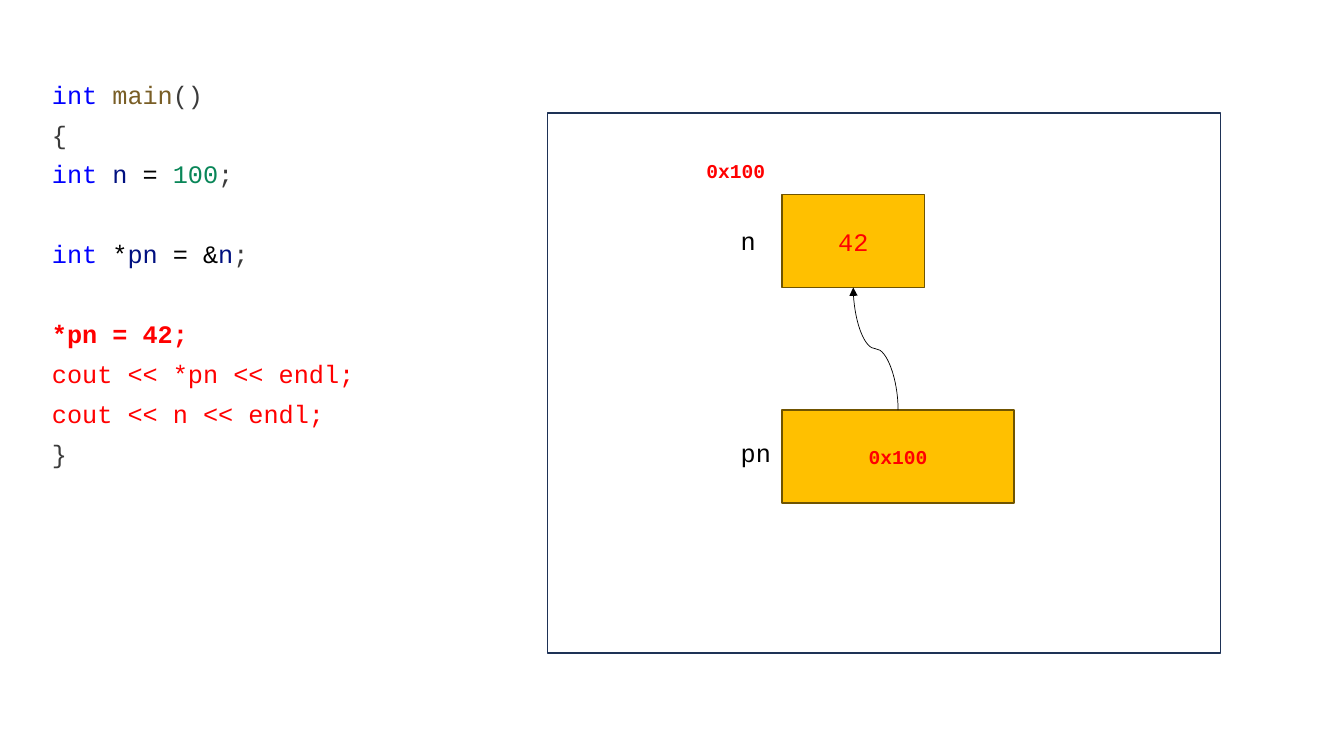
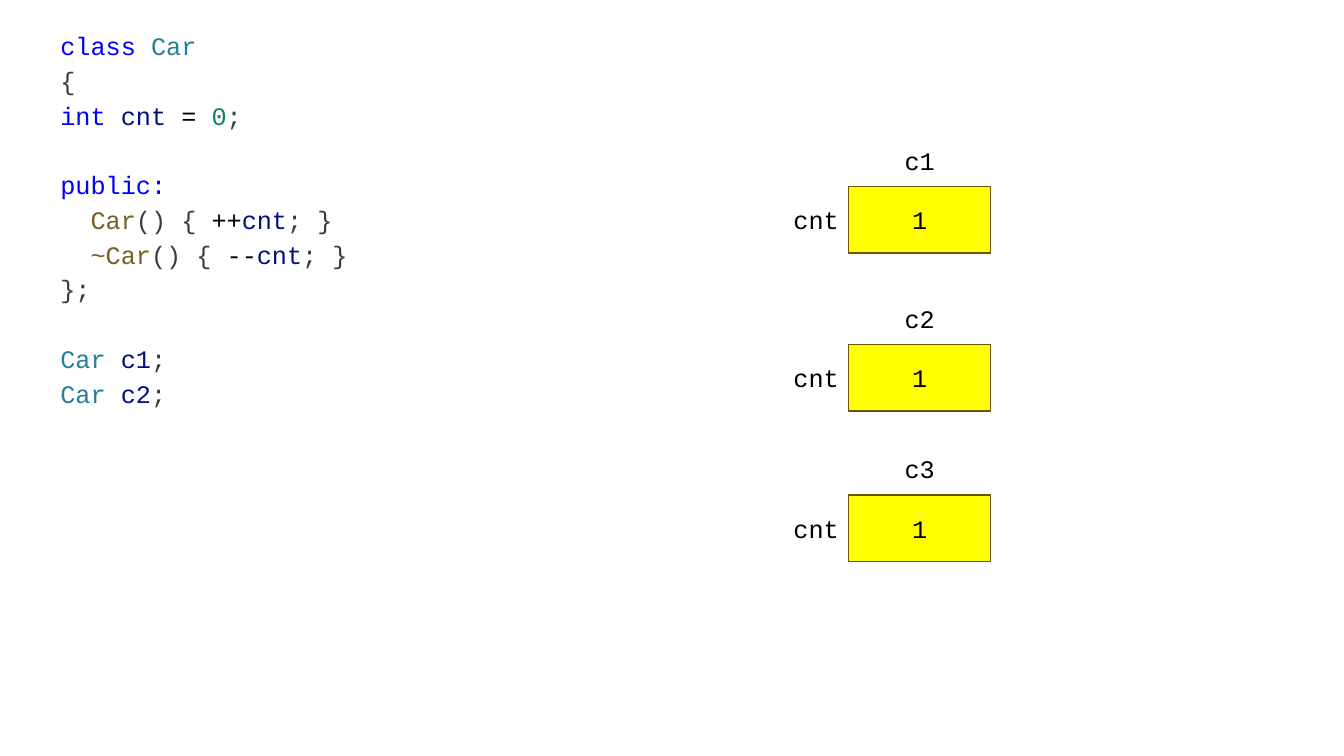
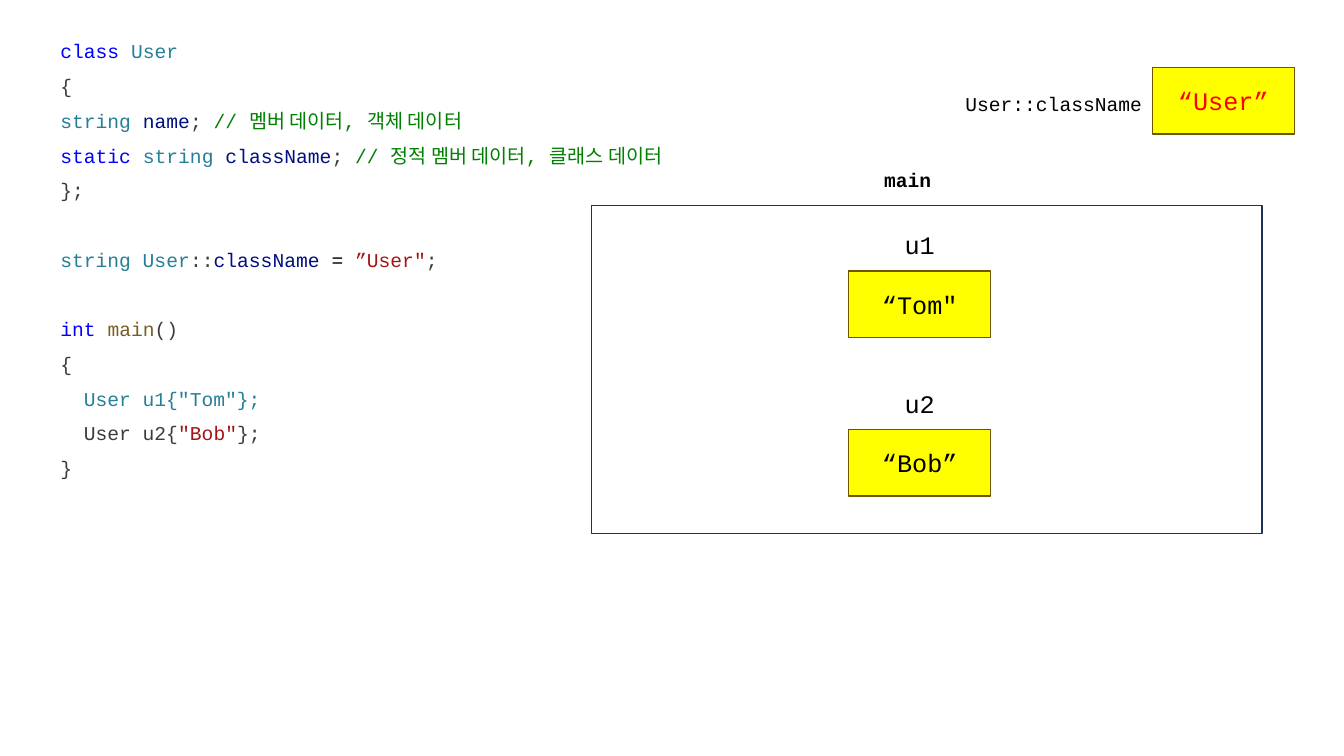
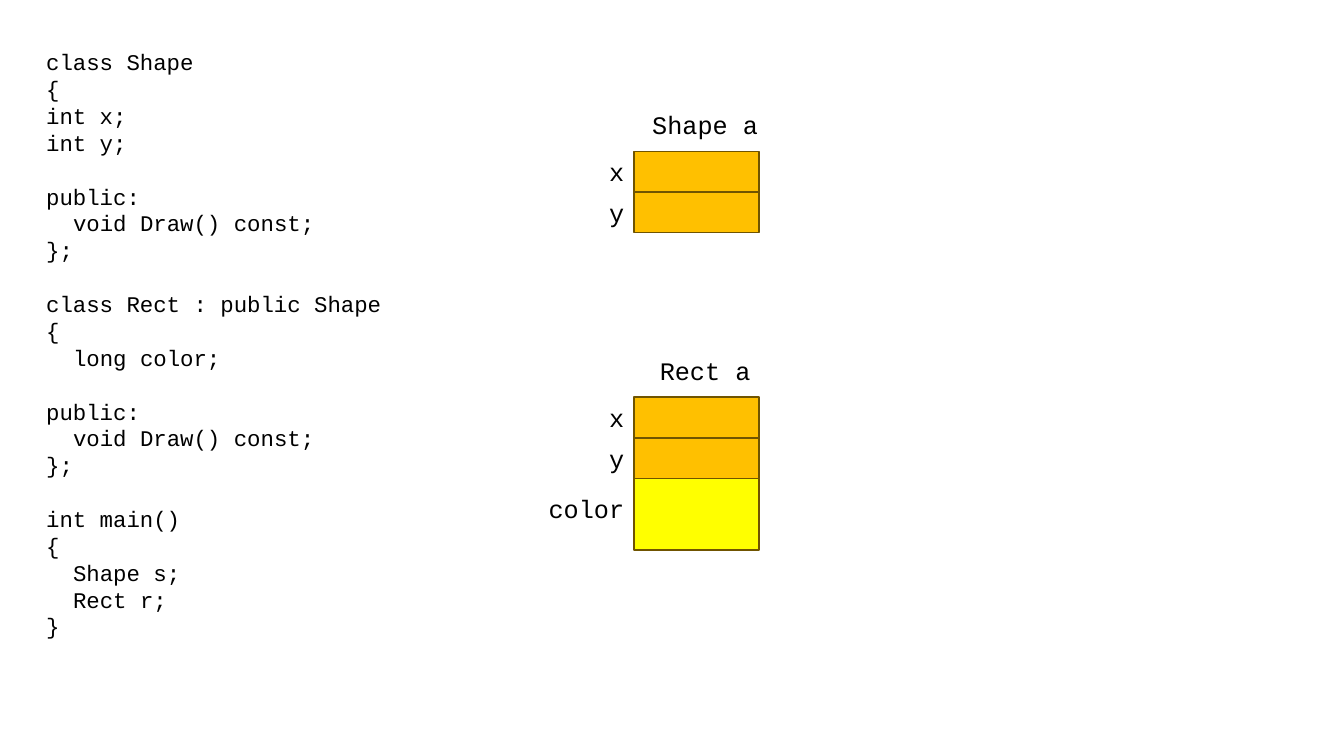
from lxml import etree
from pptx import Presentation
from pptx.dml.color import RGBColor
from pptx.enum.shapes import MSO_CONNECTOR, MSO_SHAPE
from pptx.enum.text import MSO_ANCHOR, PP_ALIGN
from pptx.oxml.ns import qn
from pptx.util import Pt

LEFT, MID, RIGHT = PP_ALIGN.LEFT, PP_ALIGN.CENTER, PP_ALIGN.RIGHT
MIDDLE = MSO_ANCHOR.MIDDLE
RECT, CURVE = MSO_SHAPE.RECTANGLE, MSO_CONNECTOR.CURVE
FONT, KOREAN = "Courier New", "Noto Sans CJK KR"
BLACK, WHITE, RED = "000000", "FFFFFF", "FF0000"
GOLD, YELLOW, EDGE, NAVY = "FFC000", "FFFF00", "705400", "1E3256"
KEY, FUNC, MARK, VAR = "0000FF", "795E26", "3B3B3B", "001080"
NUM, TYPE, NOTE, QUOTE = "098658", "267F99", "008000", "A31515"

# Each code line is a list of (text, colour); an empty list is a gap.
POINTER = [
    [("int ", KEY), ("main", FUNC), ("()", MARK)],
    [("{", MARK)],
    [("int ", KEY), ("n ", VAR), ("= ", BLACK), ("100", NUM), (";", MARK)],
    [],
    [("int ", KEY), ("*", BLACK), ("pn ", VAR), ("= &", BLACK), ("n", VAR),
     (";", MARK)],
    [],
    [("*pn = 42;", RED)],
    [("cout << *pn << endl;", RED)],
    [("cout << n << endl;", RED)],
    [("}", MARK)],
]
CAR = [
    [("class ", KEY), ("Car", TYPE)],
    [("{", MARK)],
    [("int ", KEY), ("cnt ", VAR), ("= ", BLACK), ("0", NUM), (";", MARK)],
    [],
    [("public:", KEY)],
    [("  Car", FUNC), ("() { ", MARK), ("++", BLACK), ("cnt", VAR),
     ("; }", MARK)],
    [("  ~Car", FUNC), ("() { ", MARK), ("--", BLACK), ("cnt", VAR),
     ("; }", MARK)],
    [("};", MARK)],
    [],
    [("Car ", TYPE), ("c1", VAR), (";", MARK)],
    [("Car ", TYPE), ("c2", VAR), (";", MARK)],
]
USER = [
    [("class ", KEY), ("User", TYPE)],
    [("{", MARK)],
    [("string ", TYPE), ("name", VAR), (";", MARK),
     (" // 멤버 데이터, 객체 데이터", NOTE)],
    [("static ", KEY), ("string ", TYPE), ("className", VAR), (";", MARK),
     (" // 정적 멤버 데이터, 클래스 데이터", NOTE)],
    [("};", MARK)],
    [],
    [("string User", TYPE), ("::", MARK), ("className ", VAR), ("= ", BLACK),
     ("”User\"", QUOTE), (";", MARK)],
    [],
    [("int ", KEY), ("main", FUNC), ("()", MARK)],
    [("{", MARK)],
    [("  User u1{\"Tom\"};", TYPE)],
    [("  User u2{", MARK), ("\"Bob\"", QUOTE), ("};", MARK)],
    [("}", MARK)],
]
SHAPE = """class Shape
{
int x;
int y;

public:
  void Draw() const;
};

class Rect : public Shape
{
  long color;

public:
  void Draw() const;
};

int main()
{
  Shape s;
  Rect r;
}"""
CARS = [("c1", 133.2), ("c2", 246.2), ("c3", 353.5)]
USERS = [("u1", "“Tom\"", 193.7), ("u2", "“Bob”", 306.7)]
# name, top, fields as (label, height, fill, label offset)
BASE = [("x", 29.1, GOLD, 0), ("y", 29.1, GOLD, 0)]
OBJECTS = [
    ("Shape a", 108, BASE),
    ("Rect a", 283.7, BASE + [("color", 51.1, YELLOW, 7.2)]),
]
CELL_X, CELL_W, CELL_H = 606.2, 101.5, 47.5
SIDE_W, NAME_UP = 82.8, 33.1


def rgb(code):
    return RGBColor.from_string(code)


def style(run, size, color, bold=False):
    font = run.font
    font.name, font.size, font.bold = FONT, Pt(size), bold
    font.color.rgb = rgb(color)
    latin = run._r.rPr.find(qn("a:latin"))
    east = etree.Element(qn("a:ea"), typeface=KOREAN)
    latin.addnext(east)


def write(frame, text, size, color, bold, align):
    frame.text = text
    para = frame.paragraphs[0]
    para.alignment = align
    style(para.runs[0], size, color, bold)


def label(slide, text, x, y, w, size=18, color=BLACK, bold=False, align=LEFT):
    box = slide.shapes.add_textbox(Pt(x), Pt(y), Pt(w), Pt(size * 1.2 + 7.2))
    box.text_frame.word_wrap = True
    write(box.text_frame, text, size, color, bold, align)


def rect(slide, x, y, w, h, fill, edge=EDGE, text="", size=18, color=BLACK,
         bold=False):
    box = slide.shapes.add_shape(RECT, Pt(x), Pt(y), Pt(w), Pt(h))
    box.shadow.inherit = False
    box.fill.solid()
    box.fill.fore_color.rgb = rgb(fill)
    box.line.color.rgb = rgb(edge)
    box.line.width = Pt(1)
    box.text_frame.vertical_anchor = MIDDLE
    if text:
        write(box.text_frame, text, size, color, bold, MID)
    return box


def listing(slide, lines, x, y, w, size, pitch, strong=""):
    """Set code lines; leading blanks become indents, empty lines gaps."""
    box = slide.shapes.add_textbox(Pt(x), Pt(y), Pt(w),
                                   Pt(len(lines) * pitch + 7.2))
    frame = box.text_frame
    frame.word_wrap = True
    para, gap = frame.paragraphs[0], 0
    for row, line in enumerate(lines):
        if not line:
            gap = pitch
            continue
        if row:
            para = frame.add_paragraph()
        para.line_spacing, para.space_before = Pt(pitch), Pt(gap)
        gap = 0
        for col, (text, color) in enumerate(line):
            run = para.add_run()
            run.text = text if col else text.lstrip()
            style(run, size, color, text == strong)
        first = line[0][0]
        blanks = len(first) - len(first.lstrip())
        if blanks:
            para._p.get_or_add_pPr().set("marL", str(Pt(blanks * size * 0.6)))


def arrow(slide, start, end):
    """Curve from the top of start to the bottom of end."""
    line = slide.shapes.add_connector(CURVE, 0, 0, 0, 0)
    line.begin_connect(start, 0)
    line.end_connect(end, 2)
    x, y, w, h = line.left, line.top, line.width, line.height
    line.left, line.top = x + (w - h) // 2, y + (h - w) // 2
    line.width, line.height = h, w
    props = line._element.spPr
    for key, value in (("rot", "16200000"), ("flipH", "0"), ("flipV", "1")):
        props.xfrm.set(key, value)
    line.line.color.rgb = rgb(BLACK)
    line.line.width = Pt(0.5)
    etree.SubElement(props.ln, qn("a:tailEnd"), type="triangle")
    etree.SubElement(props, qn("a:effectLst"))


def pointer(slide):
    listing(slide, POINTER, 30, 46, 480, 18, 28.5, "*pn = 42;")
    rect(slide, 391, 80.6, 481, 386, WHITE, NAVY)
    value = rect(slide, 558.7, 139, CELL_W, 66.4, GOLD, text="42", color=RED)
    label(slide, "n", 522, 157.7, 36)
    label(slide, "0x100", 497.5, 110, 129, 14, RED, True)
    holder = rect(slide, 558.7, 293, 165.6, 66.4, GOLD, text="0x100",
                  size=14, color=RED, bold=True)
    label(slide, "pn", 522, 309, 36.7)
    arrow(slide, holder, value)


def cell(slide, name, text, y):
    rect(slide, CELL_X, y, CELL_W, CELL_H, YELLOW, text=text)
    label(slide, name, CELL_X, y - NAME_UP, CELL_W, align=MID)


def cars(slide):
    listing(slide, CAR, 36, 15.1, 480, 18, 24.8)
    for name, y in CARS:
        cell(slide, name, "1", y)
        label(slide, "cnt", CELL_X - SIDE_W, y + 9.4, SIDE_W, align=RIGHT)


def users(slide):
    rect(slide, 422.6, 146.9, 478.8, 234, WHITE, NAVY)
    for name, text, y in USERS:
        cell(slide, name, text, y)
    rect(slide, 823, 48.2, CELL_W, CELL_H, YELLOW, text="“User”", color=RED)
    label(slide, "User::className", 640.8, 61.9, 182.2, 14, align=RIGHT)
    listing(slide, USER, 36, 16.6, 480, 14, 24.8)
    label(slide, "main", 499, 116.6, 298.8, 14, bold=True, align=MID)


def objects(slide):
    lines = [[(row, BLACK)] if row else [] for row in SHAPE.split("\n")]
    listing(slide, lines, 25.9, 31, 338, 16, 19.2)
    x = 452.9
    for name, y, fields in OBJECTS:
        label(slide, name, x, y - NAME_UP, CELL_W, align=MID)
        for field, h, fill, drop in fields:
            rect(slide, x, y, 89.3, h, fill)
            label(slide, field, x - SIDE_W, y + drop, SIDE_W, align=RIGHT)
            y += h


def main():
    deck = Presentation()
    deck.slide_width, deck.slide_height = Pt(960), Pt(540)
    for draw in (pointer, cars, users, objects):
        draw(deck.slides.add_slide(deck.slide_layouts[6]))
    deck.save("out.pptx")


if __name__ == "__main__":
    main()
